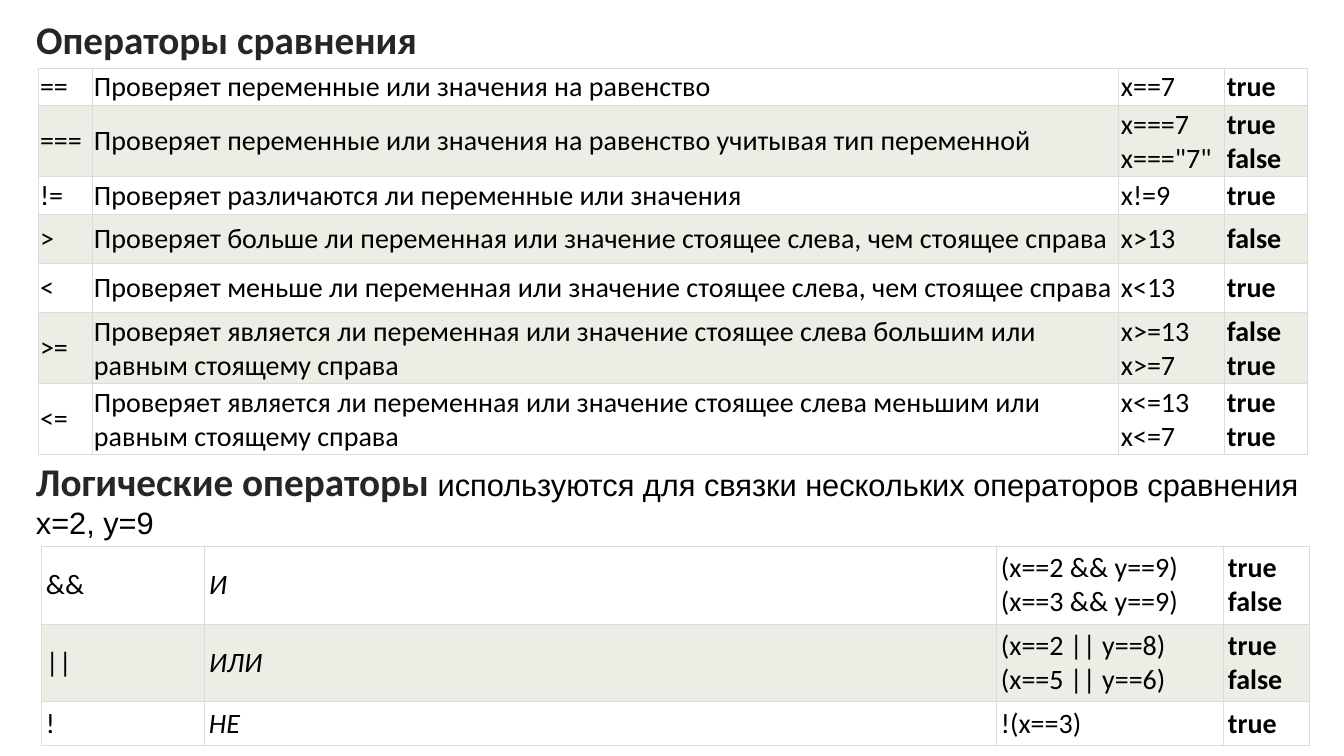
import pptx
import pptx.dml.color
import pptx.enum.text
import pptx.oxml
import pptx.oxml.ns
import pptx.util

EMU_PER_PX = 914400 / 100.8
COLORS = {"heading": "262626", "text": "000000", "border": "DCDCDC", "band": "EAEEE5"}

COMPARISONS = [
    ("==", "Проверяет переменные или значения на равенство", "x==7", "true"),
    ("===", "Проверяет переменные или значения на равенство учитывая тип переменной",
     'x===7\vx==="7"', "true\vfalse"),
    ("!=", "Проверяет различаются ли переменные или значения", "x!=9", "true"),
    (">", "Проверяет больше ли переменная или значение стоящее слева, чем стоящее справа",
     "x>13", "false"),
    ("<", "Проверяет меньше ли переменная или значение стоящее слева, чем стоящее справа",
     "x<13", "true"),
    (">=", "Проверяет является ли переменная или значение стоящее слева большим или равным "
     "стоящему справа", "x>=13\vx>=7", "false\vtrue"),
    ("<=", "Проверяет является ли переменная или значение стоящее слева меньшим или равным "
     "стоящему справа", "x<=13\vx<=7", "true\vtrue"),
]
LOGICAL = [
    ("&&", "И", "(x==2 && y==9)\v(x==3 && y==9)", "true\vfalse"),
    ("||", "ИЛИ", "(x==2 || y==8)\v(x==5 || y==6)", "true\vfalse"),
    ("!", "НЕ", "!(x==3)", "true"),
]


def px(length):
    return pptx.util.Emu(round(length * EMU_PER_PX))


def rgb(name):
    return pptx.dml.color.RGBColor.from_string(COLORS[name])


def format_font(font, name, size, color, bold=False, italic=False):
    font.name = name
    font.size = pptx.util.Pt(size)
    font.color.rgb = rgb(color)
    font.bold = bold
    font.italic = italic


def add_borders(cell):
    properties = cell._tc.get_or_add_tcPr()
    for side in ("lnL", "lnR", "lnT", "lnB"):
        properties.append(pptx.oxml.parse_xml(
            f'<a:{side} {pptx.oxml.ns.nsdecls("a")} w="{pptx.util.Pt(0.75)}">'
            f'<a:solidFill><a:srgbClr val="{COLORS["border"]}"/></a:solidFill></a:{side}>'))


def format_cell(cell, text, inset, banded, bold, italic):
    cell.text = text
    cell.vertical_anchor = pptx.enum.text.MSO_ANCHOR.MIDDLE
    cell.margin_left = cell.margin_right = cell.margin_top = cell.margin_bottom = px(inset)
    format_font(cell.text_frame.paragraphs[0].font, "Calibri", 20, "text", bold, italic)
    add_borders(cell)
    if banded:
        cell.fill.solid()
        cell.fill.fore_color.rgb = rgb("band")
    else:
        cell.fill.background()


def add_operator_table(slide, left, top, widths, heights, rows, inset, italic_names=False):
    """Operator, meaning, example and bold result; every second row is tinted."""
    table = slide.shapes.add_table(len(rows), len(widths), px(left), px(top),
                                   px(sum(widths)), px(sum(heights))).table
    table.first_row = table.horz_banding = False
    for column, width in zip(table.columns, widths):
        column.width = px(width)
    for row_index, (height, texts) in enumerate(zip(heights, rows)):
        table.rows[row_index].height = px(height)
        for column_index, text in enumerate(texts):
            format_cell(table.cell(row_index, column_index), text, inset,
                        banded=row_index % 2 == 1,
                        bold=column_index == 3,
                        italic=italic_names and column_index == 1)


def add_title(slide, left, top, width, height):
    title = slide.shapes.title
    title.left, title.top, title.width, title.height = map(px, (left, top, width, height))
    frame = title.text_frame
    frame.text = "Операторы сравнения"
    frame.word_wrap = False
    frame.auto_size = pptx.enum.text.MSO_AUTO_SIZE.SHAPE_TO_FIT_TEXT
    frame.vertical_anchor = pptx.enum.text.MSO_ANCHOR.TOP
    paragraph = frame.paragraphs[0]
    paragraph.alignment = pptx.enum.text.PP_ALIGN.CENTER
    format_font(paragraph.font, "Calibri", 28, "heading", bold=True)


def add_logical_heading(slide, left, top, width, height):
    frame = slide.shapes.add_textbox(*map(px, (left, top, width, height))).text_frame
    frame.word_wrap = True
    frame.auto_size = pptx.enum.text.MSO_AUTO_SIZE.SHAPE_TO_FIT_TEXT
    heading = frame.paragraphs[0]
    name = heading.add_run()
    name.text = "Логические операторы "
    format_font(name.font, "Calibri", 28, "heading", bold=True)
    purpose = heading.add_run()
    purpose.text = "используются для связки нескольких операторов сравнения"
    format_font(purpose.font, "Arial", 22, "text")
    values = frame.add_paragraph()
    values.text = "x=2, y=9"
    format_font(values.font, "Arial", 22, "text")


def build_operators_slide(presentation):
    slide = presentation.slides.add_slide(presentation.slide_layouts.get_by_name("Title Only"))
    add_title(slide, 24, 10, 405, 57)
    add_operator_table(slide, 38, 68, (54, 1027, 106, 83), (37, 70, 37, 49, 49, 71, 70),
                       COMPARISONS, inset=2)
    add_logical_heading(slide, 26, 452, 1294, 95)
    add_operator_table(slide, 41, 546, (163, 792, 227, 86), (78, 78, 43),
                       LOGICAL, inset=5, italic_names=True)


def main():
    presentation = pptx.Presentation()
    presentation.slide_width = px(1344)
    presentation.slide_height = px(756)
    build_operators_slide(presentation)
    presentation.save("out.pptx")


if __name__ == "__main__":
    main()
